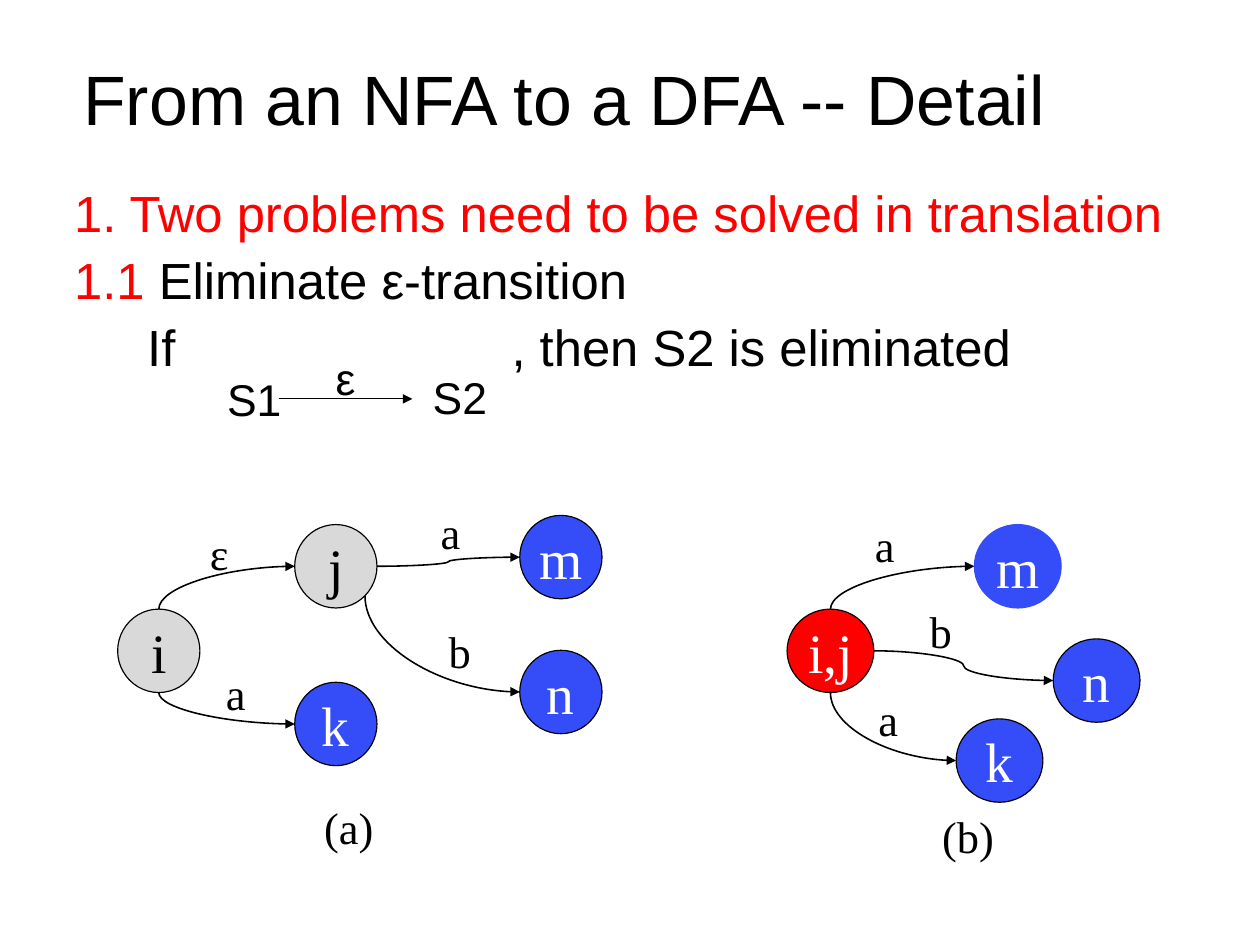
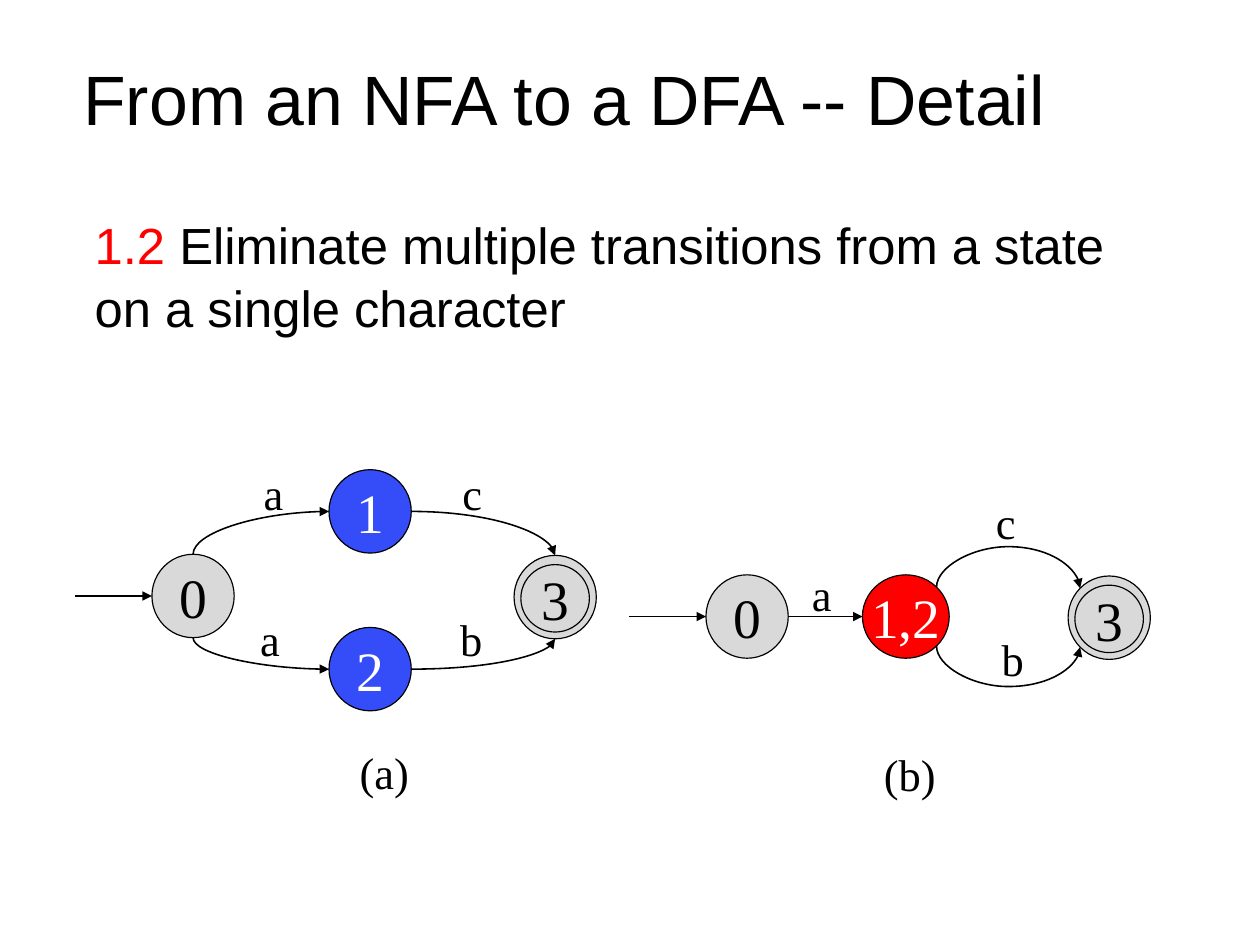
from math import cos, radians, sin

from lxml.etree import SubElement
from pptx import Presentation
from pptx.dml.color import RGBColor
from pptx.enum.shapes import MSO_CONNECTOR, MSO_SHAPE
from pptx.enum.text import MSO_ANCHOR, PP_ALIGN
from pptx.oxml.ns import qn
from pptx.util import Emu, Pt

PX = 9144
COLORS = {"black": "000000", "white": "FFFFFF", "red": "FF0000",
          "blue": "354CF9", "gray": "D9D9D9"}
SANS, SERIF = "Arial", "Times New Roman"
TITLE = "From an NFA to a DFA -- Detail"
TOP, TOP_LEFT, LEFT, BOTTOM, BOTTOM_RIGHT, RIGHT, TOP_RIGHT = 0, 1, 2, 4, 5, 6, 7
NODE_W, NODE_H = 72, 73


def px(value):
    """Convert px to EMU."""
    return Emu(round(value * PX))


def rgb(name):
    """Look up a palette colour."""
    return RGBColor.from_string(COLORS[name])


def write(frame, paragraphs, size=28, font=SERIF, color="black", align=PP_ALIGN.LEFT,
          anchor=MSO_ANCHOR.TOP, wrap=True, spacing=None, before=0, tabs=(), insets=None):
    """Fill a text frame; each paragraph is a string or a list of (text, colour) runs."""
    frame.word_wrap = wrap
    frame.vertical_anchor = anchor
    if insets:
        (frame.margin_left, frame.margin_top,
         frame.margin_right, frame.margin_bottom) = map(px, insets)
    for index, content in enumerate(paragraphs):
        paragraph = frame.add_paragraph() if index else frame.paragraphs[0]
        paragraph.alignment = align
        paragraph.line_spacing = spacing
        if index and before:
            paragraph.space_before = Pt(before)
        if tabs:
            stops = SubElement(paragraph._p.get_or_add_pPr(), qn("a:tabLst"))
            for stop in tabs:
                SubElement(stops, qn("a:tab"), pos=str(px(stop)), algn="l")
        runs = [(content, color)] if isinstance(content, str) else content
        for words, run_color in runs:
            run = paragraph.add_run()
            run.text = words
            run.font.size = Pt(size)
            run.font.name = font
            run.font.color.rgb = rgb(run_color)


def add_text(slide, box, *paragraphs, **style):
    """Add a text box with formatted paragraphs."""
    write(slide.shapes.add_textbox(*map(px, box)).text_frame, paragraphs, **style)


def add_circle(slide, box, label, fill, outline="black"):
    """Draw one outlined circle with a centred label."""
    circle = slide.shapes.add_shape(MSO_SHAPE.OVAL, *map(px, box))
    circle.shadow.inherit = False
    circle.fill.solid()
    circle.fill.fore_color.rgb = rgb(fill)
    circle.line.color.rgb = rgb(outline)
    circle.line.width = Pt(0.75)
    write(circle.text_frame, [label] if label else [], size=35, wrap=False,
          color="black" if fill == "gray" else "white",
          align=PP_ALIGN.CENTER, anchor=MSO_ANCHOR.MIDDLE)
    return circle


def add_state(slide, left, top, label, fill="blue", width=NODE_W, outline="black", final=False):
    """Draw a state; a final state gets a second ring."""
    state = add_circle(slide, (left, top, width, NODE_H), "" if final else label, fill, outline)
    if final:
        add_circle(slide, (left + 6, top + 8, 60, 59), label, fill, outline)
    return state


def add_arrow(slide, start, end, width=1, kind=MSO_CONNECTOR.STRAIGHT):
    """Draw a black line with a triangle at its end."""
    arrow = slide.shapes.add_connector(kind, *map(px, start + end))
    arrow.line.color.rgb = rgb("black")
    arrow.line.width = Pt(width)
    properties = arrow._element.spPr
    SubElement(properties.find(qn("a:ln")), qn("a:tailEnd"), type="triangle")
    SubElement(properties, qn("a:effectLst"))
    return arrow


def site_point(state, site):
    """Return the px position of a connection site, counted anticlockwise from the top."""
    angle = radians(90 + 45 * site)
    return ((state.left + state.width / 2 * (1 + cos(angle))) / PX,
            (state.top + state.height / 2 * (1 - sin(angle))) / PX)


def glue(arrow, tag, state, site):
    """Attach one end of an arrow to a state."""
    holder = arrow._element.find(".//" + qn("p:cNvCxnSpPr"))
    SubElement(holder, qn(tag), id=str(state.shape_id), idx=str(site))


def bend(arrow, start, end, start_site, end_site, bulge):
    """Shape a curved connector so that it leaves and enters along its sites."""
    rises, lands = (site not in (LEFT, RIGHT) for site in (start_site, end_site))
    dx, dy = end[0] - start[0], end[1] - start[1]
    geometry = arrow._element.spPr.find(qn("a:prstGeom"))
    geometry.set("prst", "curvedConnector3" if rises == lands else "curvedConnector2")
    if bulge:
        guides = geometry.find(qn("a:avLst"))
        if guides is None:
            guides = SubElement(geometry, qn("a:avLst"))
        SubElement(guides, qn("a:gd"), name="adj1", fmla=f"val {round(bulge / dy * 100000)}")
    if rises:
        middle = (start[0] + end[0]) / 2, (start[1] + end[1]) / 2
        arrow.width, arrow.height = px(abs(dy)), px(abs(dx))
        arrow.left, arrow.top = px(middle[0] - abs(dy) / 2), px(middle[1] - abs(dx) / 2)
        frame = arrow._element.spPr.find(qn("a:xfrm"))
        frame.set("rot", str((90 if dy < 0 else 270) * 60000))
        frame.set("flipH", "1")
        frame.set("flipV", "1" if dy < 0 else "0")


def add_transition(slide, source, start_site, target, end_site, bulge=0):
    """Connect two states, curved unless they are level."""
    start, end = site_point(source, start_site), site_point(target, end_site)
    level = abs(start[1] - end[1]) < 0.5
    arrow = add_arrow(slide, start, end,
                      kind=MSO_CONNECTOR.STRAIGHT if level else MSO_CONNECTOR.CURVE)
    if not level:
        bend(arrow, start, end, start_site, end_site, bulge)
    glue(arrow, "a:stCxn", source, start_site)
    glue(arrow, "a:endCxn", target, end_site)


def add_automaton(slide, origin, states, transitions, labels, entry=None):
    """Draw an automaton with its parts placed from the origin."""
    x, y = origin
    drawn = {label: add_state(slide, x + left, y + top, label, **style)
             for label, left, top, style in states}
    for source, start_site, target, end_site, *bulge in transitions:
        add_transition(slide, drawn[source], start_site, drawn[target], end_site, *bulge)
    if entry:
        first = site_point(drawn[entry], LEFT)
        arrow = add_arrow(slide, (x, first[1]), first)
        glue(arrow, "a:endCxn", drawn[entry], LEFT)
    for label, left, top in labels:
        add_text(slide, (x + left, y + top, 70, 57), label)


def add_epsilon_step(slide, left, top):
    """Draw the step from S1 to S2 over ε."""
    for label, x, y in (("S1", 0, 19), ("S2", 180, 17), ("ε", 95, 0)):
        add_text(slide, (left + x, top + y, 80, 57), label, font=SANS)
    add_arrow(slide, (left + 55, top + 47), (left + 172, top + 47), width=0.75)


def add_titled_slide(deck):
    """Add a blank slide with the shared title."""
    slide = deck.slides.add_slide(deck.slide_layouts[6])
    add_text(slide, (73, 51, 989, 77), TITLE, size=44, font=SANS, spacing=Pt(51),
             anchor=MSO_ANCHOR.MIDDLE, insets=(0, 0, 0, 5))
    return slide


def build_epsilon_slide(deck):
    """Build the slide on ε-transitions."""
    slide = add_titled_slide(deck)
    add_text(slide, (55, 160, 1011, 266),
             [("1. Two problems need to be solved in translation", "red")],
             [("1.1", "red"), (" Eliminate ε-transition", "black")],
             "\tIf\t, then S2 is eliminated",
             size=32, font=SANS, spacing=0.9, before=7.8, tabs=(64, 383))
    add_epsilon_step(slide, 189, 302)
    gray, wide = {"fill": "gray"}, {"width": 76}
    add_automaton(
        slide, (103, 437),
        [("i", 0, 96, gray), ("j", 155, 22, gray), ("k", 155, 160, {}),
         ("m", 352, 14, {}), ("n", 352, 132, {})],
        [("i", TOP, "j", LEFT), ("i", BOTTOM, "k", LEFT),
         ("j", RIGHT, "m", LEFT), ("j", BOTTOM_RIGHT, "n", LEFT)],
        [("ε", 71, 18), ("a", 85, 141), ("b", 280, 104), ("a", 273, 0), ("(a)", 171, 258)])
    add_automaton(
        slide, (689, 448),
        [("i,j", 0, 85, {"fill": "red", **wide}), ("m", 164, 11, {"outline": "blue", **wide}),
         ("k", 148, 181, wide), ("n", 233, 111, wide)],
        [("i,j", TOP, "m", LEFT), ("i,j", RIGHT, "n", LEFT), ("i,j", BOTTOM, "k", LEFT)],
        [("a", 67, 0), ("a", 70, 153), ("b", 115, 76), ("(b)", 126, 255)])


def build_multiple_slide(deck):
    """Build the slide on multiple transitions."""
    slide = add_titled_slide(deck)
    add_text(slide, (73, 180, 937, 129),
             [("1.2", "red"),
              (" Eliminate multiple transitions from a state on a single character", "black")],
             size=32, font=SANS, spacing=1.04)
    gray, final = {"fill": "gray"}, {"fill": "gray", "final": True}
    add_automaton(
        slide, (66, 403),
        [("0", 67, 82, gray), ("1", 222, 8, {}), ("2", 222, 146, {}), ("3", 384, 83, final)],
        [("0", TOP, "1", LEFT), ("0", BOTTOM, "2", LEFT),
         ("1", RIGHT, "3", TOP), ("2", RIGHT, "3", BOTTOM)],
        [("a", 155, 0), ("a", 152, 128), ("b", 327, 128), ("c", 329, 0), ("(a)", 239, 244)],
        entry="0")
    add_automaton(
        slide, (551, 428),
        [("0", 67, 75, gray), ("1,2", 204, 75, {"fill": "red", "width": 76}),
         ("3", 384, 76, final)],
        [("0", RIGHT, "1,2", LEFT), ("1,2", TOP_RIGHT, "3", TOP_LEFT, -36),
         ("1,2", BOTTOM_RIGHT, "3", 3, 36)],
        [("a", 150, 63), ("b", 316, 120), ("c", 311, 0), ("(b)", 213, 221)],
        entry="0")


def main():
    """Build and save the deck."""
    deck = Presentation()
    deck.slide_width, deck.slide_height = px(1103), px(826)
    build_epsilon_slide(deck)
    build_multiple_slide(deck)
    deck.save("out.pptx")


if __name__ == "__main__":
    main()
